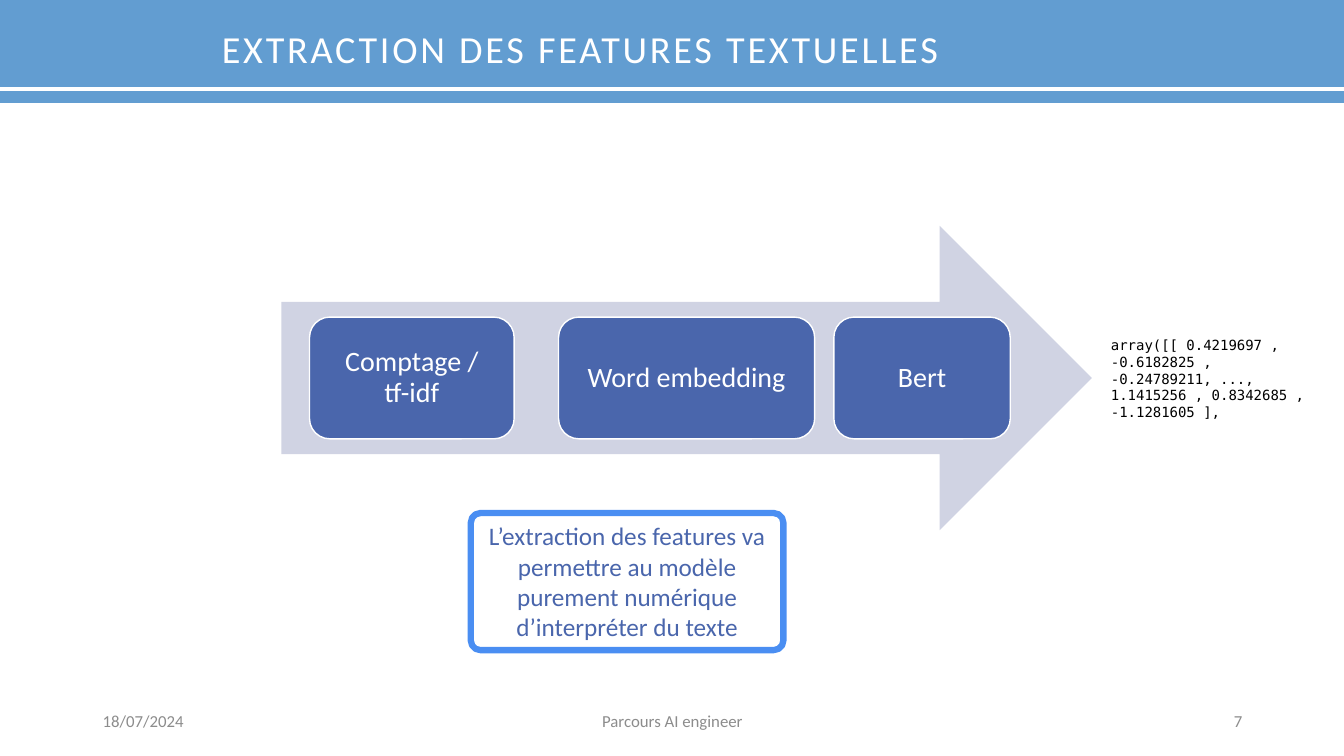
from lxml import etree
from pptx import Presentation
from pptx.dml.color import RGBColor
from pptx.enum.shapes import MSO_CONNECTOR, MSO_SHAPE
from pptx.enum.text import MSO_ANCHOR, PP_ALIGN
from pptx.oxml.ns import qn
from pptx.util import Inches, Pt

LEFT, CENTER, RIGHT = PP_ALIGN.LEFT, PP_ALIGN.CENTER, PP_ALIGN.RIGHT
TOP, MIDDLE = MSO_ANCHOR.TOP, MSO_ANCHOR.MIDDLE
RECT, ROUNDED, ARROW = MSO_SHAPE.RECTANGLE, MSO_SHAPE.ROUNDED_RECTANGLE, MSO_SHAPE.RIGHT_ARROW
STRAIGHT = MSO_CONNECTOR.STRAIGHT

WIDTH, HEIGHT = 13.33, 7.5
BAND, BLUE, PALE, BRIGHT, GREY = "629DD1", "4A66AC", "D0D3E3", "4A8EF2", "8C8C8C"
WHITE, BLACK = "FFFFFF", "000000"
SANS, MONO = "Calibri", "DejaVu Sans Mono"

TITLE = "EXTRACTION DES FEATURES TEXTUELLES"
STEPS = [("Comptage / tf-idf", 3.07, 2.03), ("Word embedding", 5.54, 2.54), ("Bert", 8.27, 1.75)]
VECTOR = "array([[ 0.4219697 , -0.6182825 , -0.24789211, ..., 1.1415256 , 0.8342685 , -1.1281605 ],"
NOTE = "L’extraction des features va permettre au modèle purement numérique d’interpréter du texte"
FOOTER = [("18/07/2024", 0.92, 3, LEFT), ("Parcours AI engineer", 4.42, 4.5, CENTER), ("7", 9.42, 3, RIGHT)]
ARROW_BOX = (2.79, 2.24, 8.04, 3.02)


def color(value):
    """Turn a hex string into a colour."""
    return RGBColor.from_string(value)


def write(sp, text, size, ink, align=LEFT, anchor=MIDDLE, font=SANS, spacing=None, insets=None):
    """Fill a shape with one paragraph of text."""
    tf = sp.text_frame
    tf.word_wrap = True
    tf.vertical_anchor = anchor
    if insets:
        tf.margin_left, tf.margin_top, tf.margin_right, tf.margin_bottom = map(Inches, insets)
    p = tf.paragraphs[0]
    p.text = text
    p.alignment = align
    if spacing:
        p.line_spacing = spacing
    p.font.size, p.font.name = Pt(size), font
    p.font.color.rgb = color(ink)
    return p


def add_box(slide, kind, box, fill, line=None, weight=1):
    """Add a flat preset shape."""
    sp = slide.shapes.add_shape(kind, *map(Inches, box))
    sp.shadow.inherit = False
    sp.fill.solid()
    sp.fill.fore_color.rgb = color(fill)
    if line:
        sp.line.color.rgb = color(line)
        sp.line.width = Pt(weight)
    else:
        sp.line.fill.background()
    return sp


def add_text(slide, box, *args, **options):
    """Add a text box with one paragraph."""
    write(slide.shapes.add_textbox(*map(Inches, box)), *args, **options)


def add_header(slide):
    """Add the title band and its white rule."""
    band = add_box(slide, RECT, (0, 0, WIDTH, 1.02), BAND)
    p = write(band, TITLE, 27.3, WHITE, spacing=0.9, insets=(2.2, 0.2, 0.2, 0.2))
    p.runs[0]._r.get_or_add_rPr().set("spc", "200")
    rule = slide.shapes.add_connector(STRAIGHT, 0, Inches(0.88), Inches(WIDTH), Inches(0.88))
    rule.line.color.rgb = color(WHITE)
    rule.line.width = Pt(3)
    etree.SubElement(rule._element.spPr, qn("a:effectLst"))


def add_process(slide):
    """Add the arrow and its steps, centred on the shaft."""
    add_box(slide, ARROW, ARROW_BOX, PALE)
    _, top, _, height = ARROW_BOX
    step_height = 0.4 * height
    step_top = top + (height - step_height) / 2
    for text, left, width in STEPS:
        sp = add_box(slide, ROUNDED, (left, step_top, width, step_height), BLUE, WHITE)
        write(sp, text, 20, WHITE, CENTER, spacing=0.9, insets=[0.18] * 4)


def main():
    """Build the slide."""
    prs = Presentation()
    prs.slide_width, prs.slide_height = Inches(WIDTH), Inches(HEIGHT)
    slide = prs.slides.add_slide(prs.slide_layouts[6])
    for text, left, width, align in FOOTER:
        add_text(slide, (left, 6.95, width, 0.4), text, 12, GREY, align)
    add_header(slide)
    add_process(slide)
    add_text(slide, (10.92, 3.45, 2.16, 0.61), VECTOR, 10, BLACK, font=MONO)
    note = add_box(slide, ROUNDED, (4.67, 5.09, 3.1, 1.36), WHITE, BRIGHT, 4.5)
    note.adjustments[0] = 0.07
    write(note, NOTE, 18, BLUE, CENTER, TOP)
    prs.save("out.pptx")


if __name__ == "__main__":
    main()
